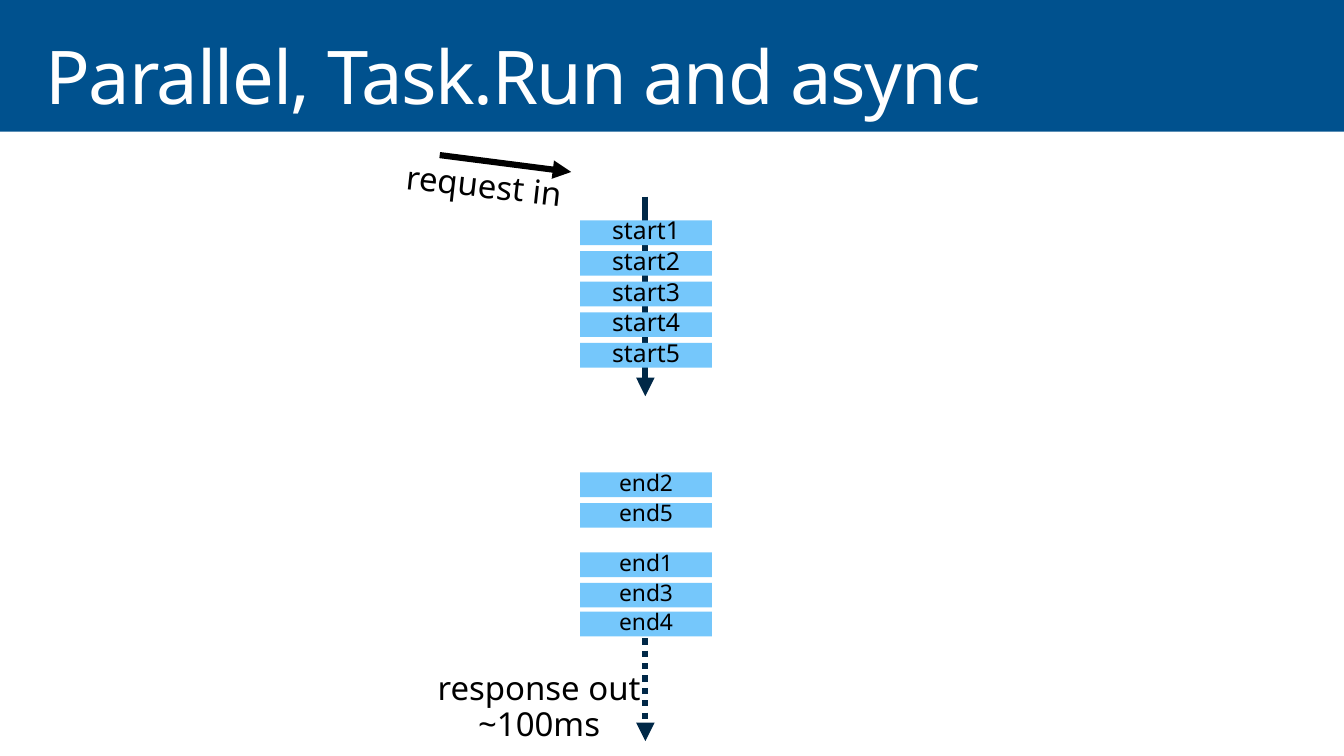
import pptx
import pptx.dml.color
import pptx.enum.dml
import pptx.enum.shapes
import pptx.enum.text
import pptx.oxml
import pptx.oxml.ns
import pptx.util

Pt = pptx.util.Pt
RECT = pptx.enum.shapes.MSO_SHAPE.RECTANGLE
ALIGN = pptx.enum.text.PP_ALIGN
NAVY = "002847"


def paint(color, value):
    color.rgb = pptx.dml.color.RGBColor.from_string(value)


def write(shape, text, size=18, color="000000", align=ALIGN.CENTER,
          space=0.9, after=6, inset=(0, 0), wrap=False):
    frame = shape.text_frame
    frame.auto_size = pptx.enum.text.MSO_AUTO_SIZE.NONE
    frame.word_wrap = wrap
    frame.vertical_anchor = pptx.enum.text.MSO_ANCHOR.MIDDLE
    frame.margin_left = frame.margin_right = Pt(inset[0])
    frame.margin_top = frame.margin_bottom = Pt(inset[1])
    para = frame.paragraphs[0]
    para.text = text
    para.alignment = align
    para.line_spacing = space
    para.space_after = Pt(after)
    for run in para.runs:
        run.font.name = "Noto Sans"
        run.font.size = Pt(size)
        paint(run.font.color, color)


deck = pptx.Presentation()
deck.slide_width, deck.slide_height = Pt(979.2), Pt(550.8)
slide = deck.slides.add_slide(deck.slide_layouts[5])
shapes = slide.shapes

# Blue background and white panel
back = slide.background.fill
back.solid()
paint(back.fore_color, "00518E")
panel = shapes.add_shape(RECT, 0, Pt(95.8), Pt(979.2), Pt(455))
panel.shadow.inherit = False
panel.fill.solid()
paint(panel.fill.fore_color, "FFFFFF")
panel.line.fill.background()

# Title
title = shapes.title
title.left, title.top, title.width, title.height = Pt(21.6), Pt(23), Pt(936), Pt(72)
write(title, "Parallel, Task.Run and async", size=54, color="FFFFFF",
      align=ALIGN.LEFT, after=0, inset=(11.5, 7.2), wrap=True)
title.text_frame.paragraphs[0].runs[0].font._element.set("spc", "-100")

# Arrows: thread start, request in, response out
call = shapes.add_group_shape().shapes
reply = shapes.add_group_shape().shapes
arrows = [
    (shapes, (470.2, 143.3, 470.2, 288.7), NAVY, False),
    (call, (320.4, 113, 416.2, 125.3), "000000", False),
    (reply, (470.2, 465.1, 470.2, 540), NAVY, True),
]
for owner, ends, color, dots in arrows:
    arrow = owner.add_connector(pptx.enum.shapes.MSO_CONNECTOR.STRAIGHT,
                                *[Pt(end) for end in ends])
    arrow.line.width = Pt(4.5)
    paint(arrow.line.color, color)
    if dots:
        arrow.line.dash_style = pptx.enum.dml.MSO_LINE.ROUND_DOT
    line = arrow.line._get_or_add_ln()
    line.append(pptx.oxml.parse_xml(
        '<a:tailEnd %s type="triangle"/>' % pptx.oxml.ns.nsdecls("a")))
    line.addnext(pptx.oxml.parse_xml(
        "<a:effectLst %s/>" % pptx.oxml.ns.nsdecls("a")))

# Arrow labels
labels = [
    (call, "request in", (297.4, 123.1, 110.2, 26.6), 6.3),
    (reply, "response out\n~100ms", (320.4, 491, 144.7, 49), 0),
]
for owner, text, box, turn in labels:
    label = owner.add_textbox(*[Pt(side) for side in box])
    label.rotation = turn
    write(label, text, size=24)

# Task bars
bars = [(f"start{i + 1}", 160.6 + 22.3 * i, 18) for i in range(5)]
bars += [(f"end{num}", top, 16.6) for num, top in
         [(2, 344.2), (5, 366.5), (1, 402.5), (3, 424.6), (4, 445.7)]]
for text, top, size in bars:
    bar = shapes.add_shape(RECT, Pt(422.7), Pt(top), Pt(96), Pt(18))
    bar.shadow.inherit = False
    bar.fill.solid()
    paint(bar.fill.fore_color, "75C7FB")
    bar.line.fill.background()
    write(bar, text, size=size, space=0.8)

deck.save("out.pptx")
